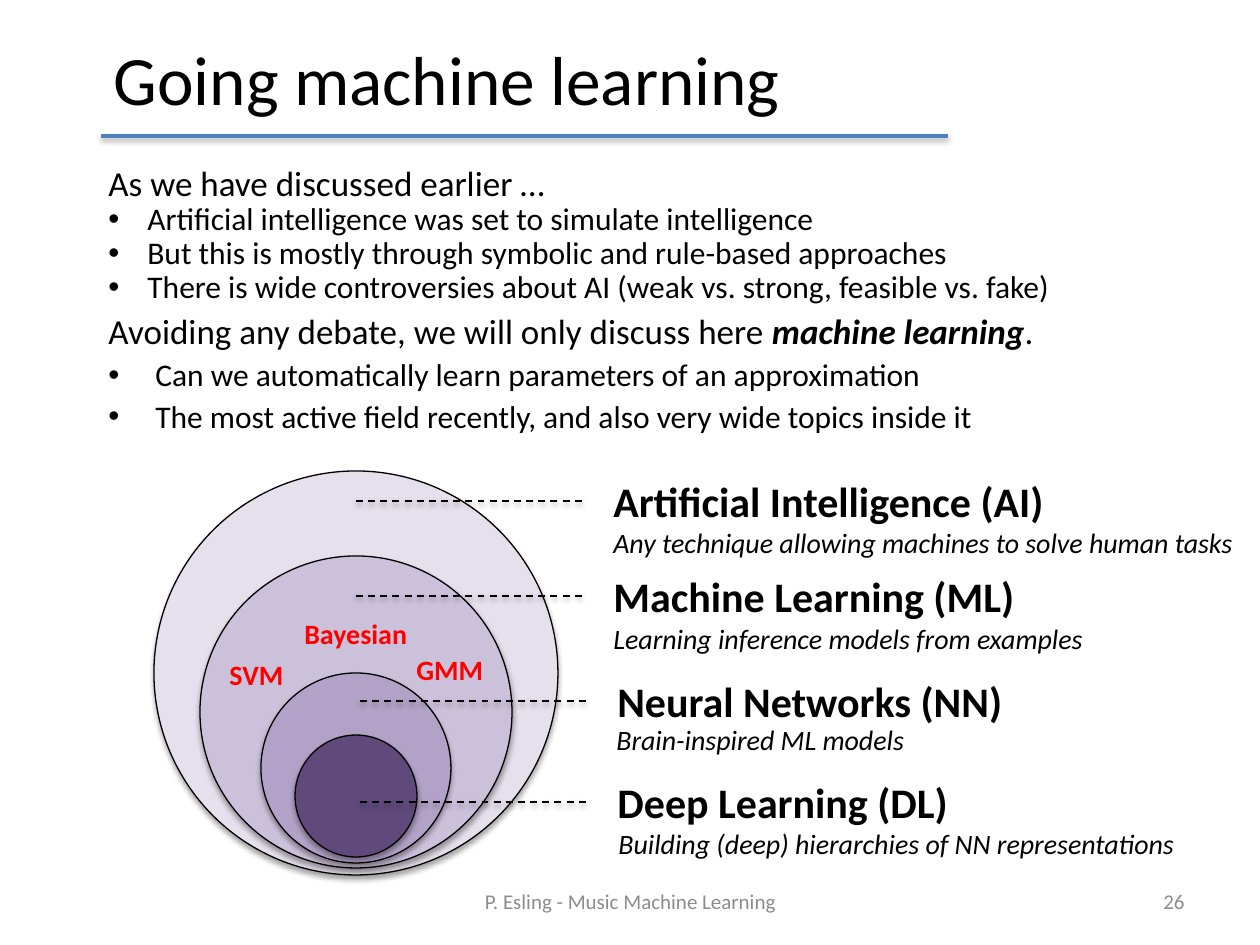
"""Build the slide that places machine learning inside artificial intelligence."""
from lxml.etree import SubElement as Sub
from pptx import Presentation
from pptx.dml.color import RGBColor as Rgb
from pptx.enum.dml import MSO_LINE as Dash
from pptx.enum.shapes import MSO_CONNECTOR as Conn, MSO_SHAPE as Kind
from pptx.enum.text import MSO_ANCHOR as Anchor, MSO_AUTO_SIZE as Fit, PP_ALIGN as Align
from pptx.oxml.ns import qn
from pptx.util import Pt

PX = 914400 / 126
TITLE = "Going machine learning"
FOOT = [
    (431, 399, "P. Esling - Music Machine Learning", Align.CENTER),
    (903, 294, "26", Align.RIGHT),
]
BODY = [
    (20, 1.1, 0, ["As we have discussed earlier …"]),
    (18, 0.9, 39, ["Artificial intelligence was set to simulate intelligence"]),
    (18, 0.9, 39, ["But this is mostly through symbolic and rule-based approaches"]),
    (18, 0.9, 39, ["There is wide controversies about AI (weak vs. strong, feasible vs. fake)"]),
    (20, 1.1, 0, ["Avoiding any debate, we will only discuss here ", "machine learning", "."]),
    (18, 1.1, 47, ["Can we automatically learn parameters of an approximation"]),
    (18, 1.1, 47, ["The most active field recently, and also very wide topics inside it"]),
]
MID = 356
RINGS = [
    (471, 404, "E6E0EC"),
    (556, 312, "CCC1DA"),
    (673, 190, "B3A2C7"),
    (735, 122, "604A7B"),
]
FIELDS = [
    (601, 501, 460, "Artificial Intelligence (AI)"),
    (601, 596, 431, "Machine Learning (ML)"),
    (605, 701, 413, "Neural Networks (NN)"),
    (605, 802, 359, "Deep Learning (DL)"),
]
NOTES = [
    (601, 519, 653, "Any technique allowing machines to solve human tasks"),
    (601, 615, 507, "Learning inference models from examples"),
    (604, 716, 316, "Brain-inspired ML models"),
    (606, 820, 588, "Building (deep) hierarchies of NN representations"),
]
MODELS = [
    (217, 651, 81, "SVM"),
    (292, 610, 130, "Bayesian"),
    (404, 646, 93, "GMM"),
]


def px(*vals):
    return [round(v * PX) for v in vals]


def hue(code):
    return Rgb.from_string(code)


def style(font, size, color="000000", bold=False, italic=False):
    font.name, font.size = "Calibri", Pt(size)
    font.bold, font.italic = bold, italic
    font.color.rgb = hue(color)


def write(slide, box, text, align=Align.LEFT, wrap=False, anchor=Anchor.TOP, **fmt):
    frame = slide.shapes.add_textbox(*px(*box)).text_frame
    frame.word_wrap = wrap
    frame.auto_size = Fit.NONE if wrap else Fit.SHAPE_TO_FIT_TEXT
    frame.vertical_anchor = anchor
    para = frame.paragraphs[0]
    para.alignment = align
    run = para.add_run()
    run.text = text
    style(run.font, **fmt)


def shade(shape, alpha, dist):
    fx = Sub(shape._element.spPr, qn("a:effectLst"))
    out = Sub(fx, qn("a:outerShdw"), blurRad=str(Pt(3.1)), dist=str(Pt(dist)),
              dir="5400000", rotWithShape="0")
    tone = Sub(out, qn("a:srgbClr"), val="000000")
    Sub(tone, qn("a:alpha"), val=str(alpha * 1000))


def rule(slide, x, y, end, color, width, dash=None):
    line = slide.shapes.add_connector(Conn.STRAIGHT, *px(x, y, end, y))
    line.line.color.rgb = hue(color)
    line.line.width = Pt(width)
    if dash:
        line.line.dash_style = dash
    shade(line, 38, 1.6)


def ring(slide, top, size, color):
    disc = slide.shapes.add_shape(Kind.OVAL, *px(MID - size / 2, top, size, size))
    disc.fill.solid()
    disc.fill.fore_color.rgb = hue(color)
    disc.line.color.rgb = hue("000000")
    disc.line.width = Pt(0.75)
    shade(disc, 35, 1.8)


def head(slide):
    title = slide.shapes.title
    title.left, title.top, title.width, title.height = px(101, 32, 1074, 91)
    frame = title.text_frame
    frame.text = TITLE
    frame.vertical_anchor = Anchor.MIDDLE
    para = frame.paragraphs[0]
    para.alignment = Align.LEFT
    style(para.runs[0].font, 39.6)


def body(slide):
    frame = slide.shapes.add_textbox(*px(96, 151, 1077, 291)).text_frame
    frame.word_wrap = True
    frame.auto_size = Fit.SHAPE_TO_FIT_TEXT
    for i, (size, space, dent, parts) in enumerate(BODY):
        para = frame.add_paragraph() if i else frame.paragraphs[0]
        para.line_spacing = space
        if dent:
            step, = px(dent)
            props = para._p.get_or_add_pPr()
            props.set("marL", str(step))
            props.set("indent", str(-step))
            Sub(props, qn("a:buFont"), typeface="Arial")
            Sub(props, qn("a:buChar"), char="•")
        for j, part in enumerate(parts):
            run = para.add_run()
            run.text = part
            style(run.font, size, bold=j == 1, italic=j == 1)


def main():
    deck = Presentation()
    deck.slide_width, deck.slide_height = px(1260, 945)
    slide = deck.slides.add_slide(deck.slide_layouts[5])
    head(slide)
    for x, wide, text, align in FOOT:
        write(slide, (x, 876, wide, 50), text, align, True, Anchor.MIDDLE,
              size=12, color="8C8C8C")
    rule(slide, 101, 136, 948, "4F81BD", 2)
    body(slide)
    for item in RINGS:
        ring(slide, *item)
    for x, y, wide, text in FIELDS:
        write(slide, (x, y - 32, wide, 63), text, size=24, bold=True)
        rule(slide, x - 245, y, x - 16, "000000", 1, Dash.DASH)
    for x, y, wide, text in MODELS:
        write(slide, (x, y, wide, 47), text, size=16, color="FF0000", bold=True)
    for x, y, wide, text in NOTES:
        write(slide, (x, y, wide, 47), text, size=16, italic=True)
    deck.save("out.pptx")


if __name__ == "__main__":
    main()
